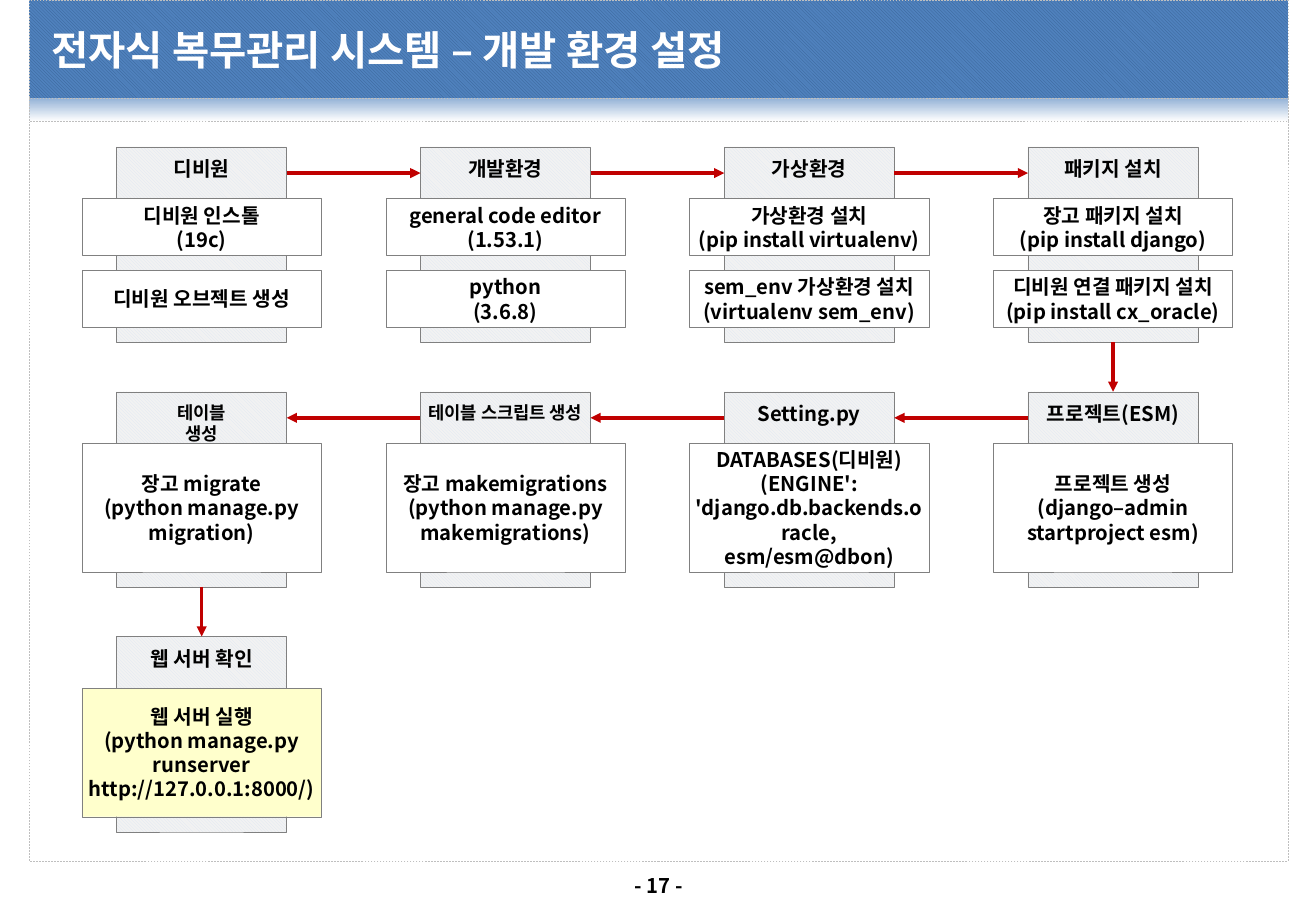
from itertools import pairwise

from lxml import etree
from pptx import Presentation
from pptx import util as u
from pptx.dml.color import RGBColor
from pptx.enum import dml, shapes, text
from pptx.oxml import ns

TITLE = "전자식 복무관리 시스템 – 개발 환경 설정"
PAGE = "- 17 -"

# Steps in working order: (column, row), heading, heading size, panels of lines
STEPS = [
    ((0, 0), ["디비원"], 12, [["디비원 인스톨", "(19c)"], ["디비원 오브젝트 생성"]]),
    ((1, 0), ["개발환경"], 12, [["general code editor", "(1.53.1)"], ["python", "(3.6.8)"]]),
    ((2, 0), ["가상환경"], 12, [["가상환경 설치", "(pip install virtualenv)"],
                            ["sem_env 가상환경 설치", "(virtualenv sem_env)"]]),
    ((3, 0), ["패키지 설치"], 12, [["장고 패키지 설치", "(pip install django)"],
                             ["디비원 연결 패키지 설치", "(pip install cx_oracle)"]]),
    ((3, 1), ["프로젝트(ESM)"], 12, [["프로젝트 생성", "(django–admin startproject esm)"]]),
    ((2, 1), ["Setting.py"], 12, [["DATABASES(디비원)",
                                   "(ENGINE': 'django.db.backends.oracle, esm/esm@dbon)"]]),
    ((1, 1), ["테이블 스크립트 생성"], 10.5, [["장고 makemigrations",
                                      "(python manage.py makemigrations)"]]),
    ((0, 1), ["테이블", "생성"], 10.5, [["장고 migrate", "(python manage.py migration)"]]),
    ((0, 2), ["웹 서버 확인"], 12, [["웹 서버 실행", "(python manage.py runserver",
                               "http://127.0.0.1:8000/)"]]),
]

COLORS = {
    "white": "FFFFFF", "black": "000000", "banner": "4F81BD", "banner_hatch": "376092",
    "fade": "95B3D7", "frame": "BFBFBF", "card": "F2F2F2", "card_hatch": "DCE6F2",
    "outline": "808080", "final": "FFFFCC", "arrow": "C00000",
}
FONT = "Noto Sans CJK KR"

SLIDE_W, SLIDE_H = 10.83, 7.5
FRAME_X, FRAME_W = 0.24, 10.36
BANNER_H, FADE_H, FRAME_BOTTOM = 0.81, 0.19, 7.09
GRID_X, GRID_Y, COL_STEP, ROW_STEP = 0.96, 1.21, 2.5, 2.015
CARD_W, CARD_H = 1.4, 1.61
PANEL_W, PANEL_TOP, PANELS_H, PANEL_GAP = 1.97, 0.425, 1.06, 0.12
ARROW_DROP = 0.215


def color(name):
    return RGBColor.from_string(COLORS[name])


def write(shape, lines, size=12, ink="black", align=text.PP_ALIGN.CENTER,
          anchor=text.MSO_ANCHOR.MIDDLE, wrap=True, inset=(0.04, 0.04)):
    frame = shape.text_frame
    frame.word_wrap = wrap
    frame.vertical_anchor = anchor
    frame.margin_left = frame.margin_right = u.Inches(inset[0])
    frame.margin_top = frame.margin_bottom = u.Inches(inset[1])
    for i, line in enumerate(lines):
        paragraph = frame.paragraphs[0] if i == 0 else frame.add_paragraph()
        paragraph.alignment = align
        run = paragraph.add_run()
        run.text = line
        run.font.size, run.font.bold, run.font.name = u.Pt(size), True, FONT
        run.font.color.rgb = color(ink)
        east_asian = etree.SubElement(run.font._element, ns.qn("a:ea"))
        east_asian.set("typeface", FONT)


def add_box(slide, x, y, w, h, fill, hatch=None, fade_to=None, outline="outline", dash=False):
    box = slide.shapes.add_shape(shapes.MSO_SHAPE.RECTANGLE, *map(u.Inches, (x, y, w, h)))
    box.shadow.inherit = False
    if hatch:
        box.fill.patterned()
        box.fill.pattern = dml.MSO_PATTERN.LIGHT_DOWNWARD_DIAGONAL
        box.fill.fore_color.rgb = color(hatch)
        box.fill.back_color.rgb = color(fill)
    elif fade_to:
        box.fill.gradient()
        box.fill.gradient_angle = 270
        for stop, name in zip(box.fill.gradient_stops, (fill, fade_to)):
            stop.color.rgb = color(name)
    else:
        box.fill.solid()
        box.fill.fore_color.rgb = color(fill)
    box.line.color.rgb = color(outline)
    box.line.width = u.Pt(0.25)
    if dash:
        box.line.dash_style = dml.MSO_LINE.DASH
    return box


def add_label(slide, x, y, w, h, line, **style):
    write(slide.shapes.add_textbox(*map(u.Inches, (x, y, w, h))), [line], **style)


def add_step(slide, cell, heading, size, panels):
    """Draw a card with its panels and return the card."""
    x, y = GRID_X + cell[0] * COL_STEP, GRID_Y + cell[1] * ROW_STEP
    card = add_box(slide, x, y, CARD_W, CARD_H, "card", hatch="card_hatch")
    write(card, heading, size, anchor=text.MSO_ANCHOR.TOP, wrap=False, inset=(0.04, 0.08))
    panel_h = (PANELS_H - PANEL_GAP * (len(panels) - 1)) / len(panels)
    fill = "final" if cell == STEPS[-1][0] else "white"
    for i, lines in enumerate(panels):
        panel = add_box(slide, x - (PANEL_W - CARD_W) / 2,
                        y + PANEL_TOP + i * (panel_h + PANEL_GAP), PANEL_W, panel_h, fill)
        write(panel, lines, wrap=len(panels) == 1)
    return card


def add_arrow(slide, source, target):
    """Link two cards: across at heading height, or down from side middle to side middle."""
    drop = u.Inches(ARROW_DROP)
    across = source.top == target.top
    if across:
        rightward = source.left < target.left
        start = source.left + (source.width if rightward else 0), source.top + drop
        end = target.left + (0 if rightward else target.width), target.top + drop
    else:
        start = source.left + source.width // 2, source.top + source.height
        end = target.left + target.width // 2, target.top
    arrow = slide.shapes.add_connector(shapes.MSO_CONNECTOR.STRAIGHT, *start, *end)
    if not across:
        arrow.begin_connect(source, 2)
        arrow.end_connect(target, 0)
    arrow.line.color.rgb = color("arrow")
    arrow.line.width = u.Pt(2)
    etree.SubElement(arrow.line._get_or_add_ln(), ns.qn("a:tailEnd")).set("type", "triangle")
    etree.SubElement(arrow._element.spPr, ns.qn("a:effectLst"))


def main():
    deck = Presentation()
    deck.slide_width, deck.slide_height = u.Inches(SLIDE_W), u.Inches(SLIDE_H)
    slide = deck.slides.add_slide(deck.slide_layouts[6])

    frame_top = BANNER_H + FADE_H
    border = {"outline": "frame", "dash": True}
    add_box(slide, FRAME_X, frame_top, FRAME_W, FRAME_BOTTOM - frame_top, "white", **border)
    add_box(slide, FRAME_X, 0, FRAME_W, BANNER_H, "banner", hatch="banner_hatch", **border)
    add_box(slide, FRAME_X, BANNER_H, FRAME_W, FADE_H, "fade", fade_to="white", **border)
    add_label(slide, 0.38, 0.08, 10.09, 0.66, TITLE, size=24, ink="white",
              align=text.PP_ALIGN.LEFT)
    add_label(slide, 5.08, 7.14, 0.68, 0.3, PAGE, wrap=False, inset=(0.1, 0.05),
              anchor=text.MSO_ANCHOR.TOP)

    cards = [add_step(slide, *step) for step in STEPS]
    for source, target in pairwise(cards):
        add_arrow(slide, source, target)
    deck.save("out.pptx")


if __name__ == "__main__":
    main()
